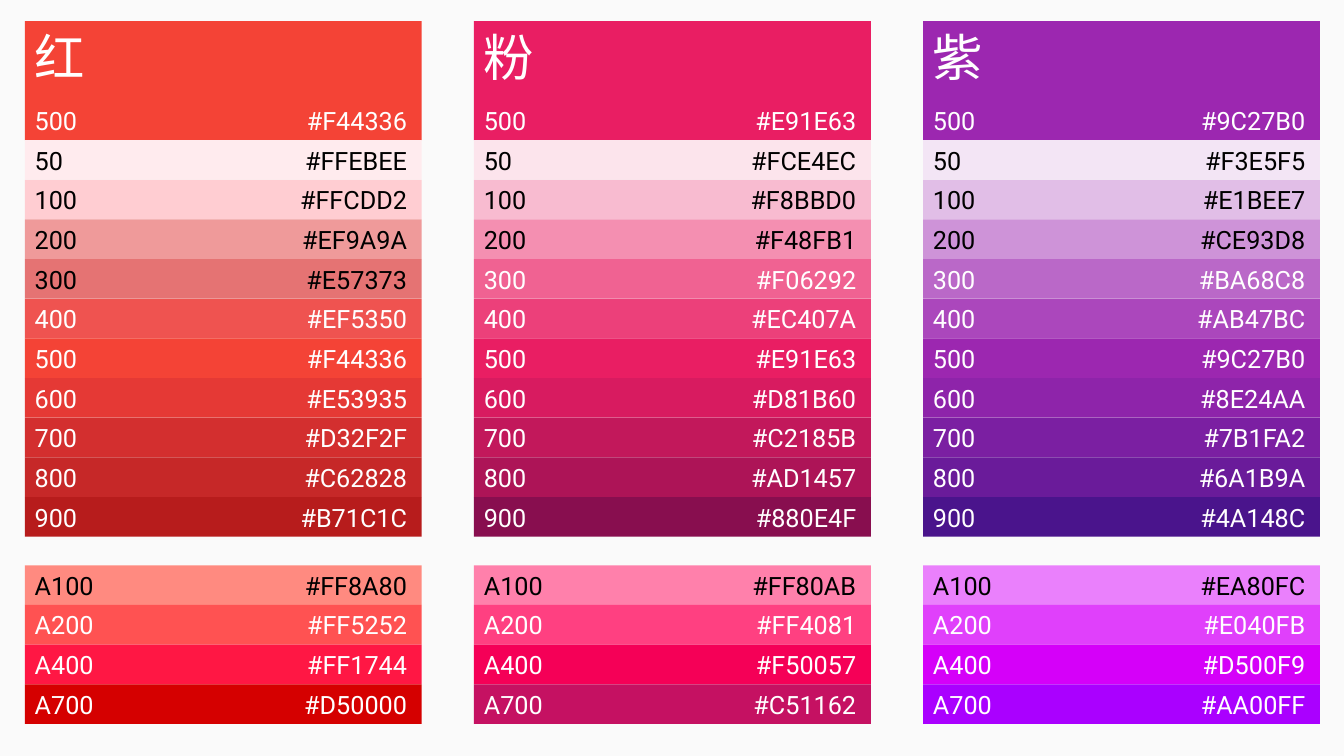
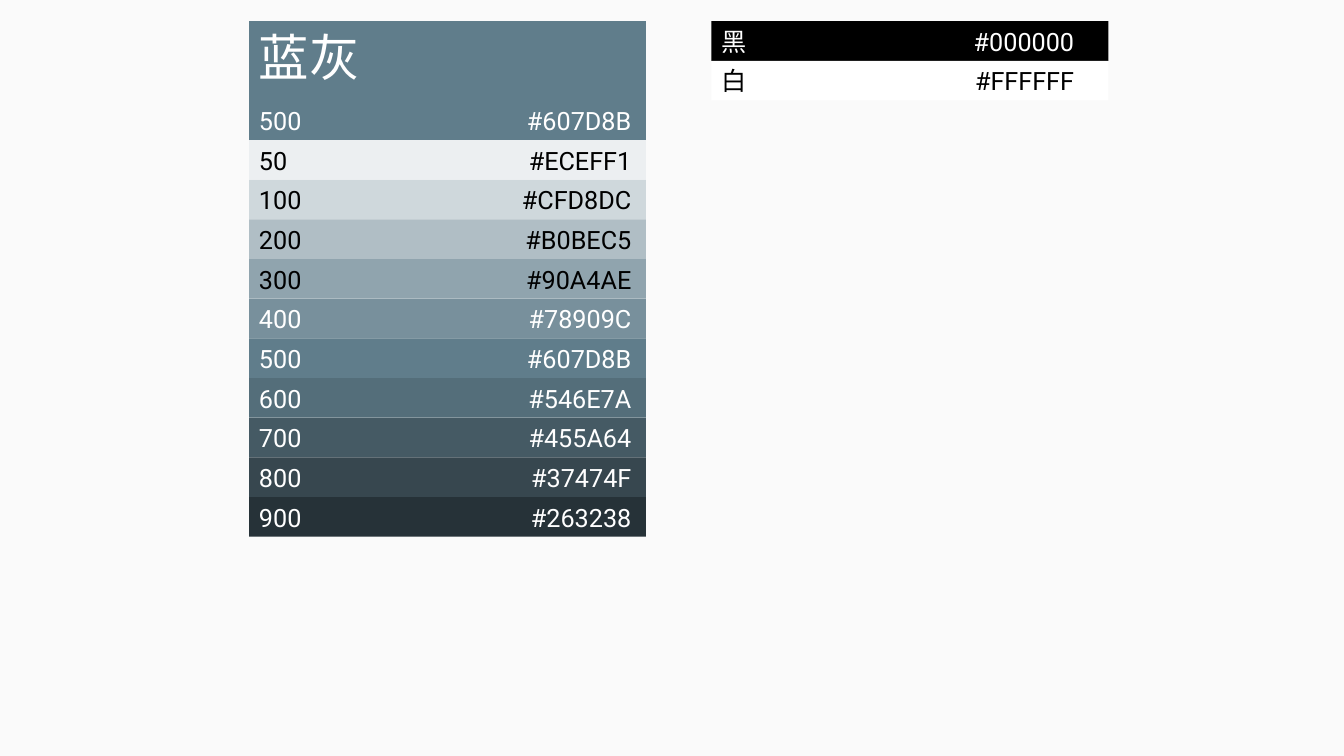
from lxml import etree
from pptx import Presentation
from pptx.dml.color import RGBColor
from pptx.enum.shapes import MSO_SHAPE
from pptx.enum.text import MSO_ANCHOR, MSO_AUTO_SIZE, PP_ALIGN
from pptx.oxml.ns import qn
from pptx.util import Pt

RECTANGLE = MSO_SHAPE.RECTANGLE
MIDDLE, BOTTOM = MSO_ANCHOR.MIDDLE, MSO_ANCHOR.BOTTOM
LEFT = PP_ALIGN.LEFT
GROW = MSO_AUTO_SIZE.SHAPE_TO_FIT_TEXT

COLOURS = {"background": "FAFAFA", "light": "FFFFFF", "dark": "000000"}
LATIN_FONT, CHINESE_FONT = "Roboto", "Noto Sans CJK SC"

TOP = 15.1
ROW_HEIGHT = 28.33
HEADER_HEIGHT = 3 * ROW_HEIGHT
BAND_WIDTH = 283.5
ACCENT_GAP = 20.4
CODE_EDGE = 266

SHADES = ["50", "100", "200", "300", "400", "500", "600", "700", "800", "900"]
ACCENTS = ["A100", "A200", "A400", "A700"]
BASE_SHADE = SHADES.index("500")

# Each family lists its shades, its accents and how many shades carry dark text.
RED = {
    "name": "红", "dark_shades": 4,
    "shades": ["FFEBEE", "FFCDD2", "EF9A9A", "E57373", "EF5350",
               "F44336", "E53935", "D32F2F", "C62828", "B71C1C"],
    "accents": ["FF8A80", "FF5252", "FF1744", "D50000"],
}
PINK = {
    "name": "粉", "dark_shades": 3,
    "shades": ["FCE4EC", "F8BBD0", "F48FB1", "F06292", "EC407A",
               "E91E63", "D81B60", "C2185B", "AD1457", "880E4F"],
    "accents": ["FF80AB", "FF4081", "F50057", "C51162"],
}
PURPLE = {
    "name": "紫", "dark_shades": 3,
    "shades": ["F3E5F5", "E1BEE7", "CE93D8", "BA68C8", "AB47BC",
               "9C27B0", "8E24AA", "7B1FA2", "6A1B9A", "4A148C"],
    "accents": ["EA80FC", "E040FB", "D500F9", "AA00FF"],
}
BLUE_GREY = {
    "name": "蓝灰", "dark_shades": 4,
    "shades": ["ECEFF1", "CFD8DC", "B0BEC5", "90A4AE", "78909C",
               "607D8B", "546E7A", "455A64", "37474F", "263238"],
    "accents": [],
}

PAGES = [
    {"families": [(17.7, RED), (338.5, PINK), (659.3, PURPLE)], "neutrals": []},
    {"families": [(177.9, BLUE_GREY)],
     "neutrals": [("黑", "000000", "light"), ("白", "FFFFFF", "dark")]},
]
NEUTRAL_LEFT, NEUTRAL_CODE_EDGE = 508.2, 252


def write_text(para, text, size, font, colour):
    """Add one run, with the Chinese font set for East Asian characters."""
    span = para.add_run()
    span.text = text
    for attribute, value in {"name": font, "size": Pt(size)}.items():
        setattr(span.font, attribute, value)
    span.font.color.rgb = RGBColor.from_string(COLOURS[colour])
    east_asian = etree.SubElement(span.font._element, qn("a:ea"))
    east_asian.set("typeface", CHINESE_FONT)


def add_band(page, left, top, label, code, text_colour,
             height=ROW_HEIGHT, anchor=MIDDLE, code_edge=CODE_EDGE):
    """Add a colour band: label at the left, hex code at a right tab stop."""
    band = page.shapes.add_shape(RECTANGLE, Pt(left), Pt(top), Pt(BAND_WIDTH), Pt(height))
    band.shadow.inherit = False
    band.fill.solid()
    band.fill.fore_color.rgb = RGBColor.from_string(code)
    band.line.fill.background()
    band.text_frame.vertical_anchor = anchor
    para = band.text_frame.paragraphs[0]
    para.alignment = LEFT
    tabs = etree.SubElement(para._p.get_or_add_pPr(), qn("a:tabLst"))
    etree.SubElement(tabs, qn("a:tab"), pos=str(Pt(code_edge)), algn="r")
    write_text(para, f"{label}\t#{code}", 18, LATIN_FONT, text_colour)


deck = Presentation()
deck.slide_width, deck.slide_height = Pt(960), Pt(540)
blank = deck.slide_layouts[6]
backdrop = deck.slide_master.background.fill
backdrop.solid()
backdrop.fore_color.rgb = RGBColor.from_string(COLOURS["background"])

for content in PAGES:
    page = deck.slides.add_slide(blank)

    for left, family in content["families"]:
        add_band(page, left, TOP, SHADES[BASE_SHADE], family["shades"][BASE_SHADE],
                 "light", HEADER_HEIGHT, BOTTOM)
        title_width = 39 + 26 * len(family["name"])
        box = page.shapes.add_textbox(Pt(left), Pt(TOP), Pt(title_width), Pt(51))
        box.text_frame.auto_size = GROW
        box.text_frame.word_wrap = False
        write_text(box.text_frame.paragraphs[0], family["name"], 36, CHINESE_FONT, "light")

        top = TOP + HEADER_HEIGHT
        groups = [(SHADES, family["shades"], family["dark_shades"]),
                  (ACCENTS, family["accents"], 1)]
        for labels, codes, dark_count in groups:
            for row, (label, code) in enumerate(zip(labels, codes)):
                text_colour = "dark" if row < dark_count else "light"
                add_band(page, left, top + row * ROW_HEIGHT, label, code, text_colour)
            top += len(codes) * ROW_HEIGHT + ACCENT_GAP

    for row, (label, code, text_colour) in enumerate(content["neutrals"]):
        add_band(page, NEUTRAL_LEFT, TOP + row * ROW_HEIGHT, label, code, text_colour,
                 code_edge=NEUTRAL_CODE_EDGE)

deck.save("out.pptx")
